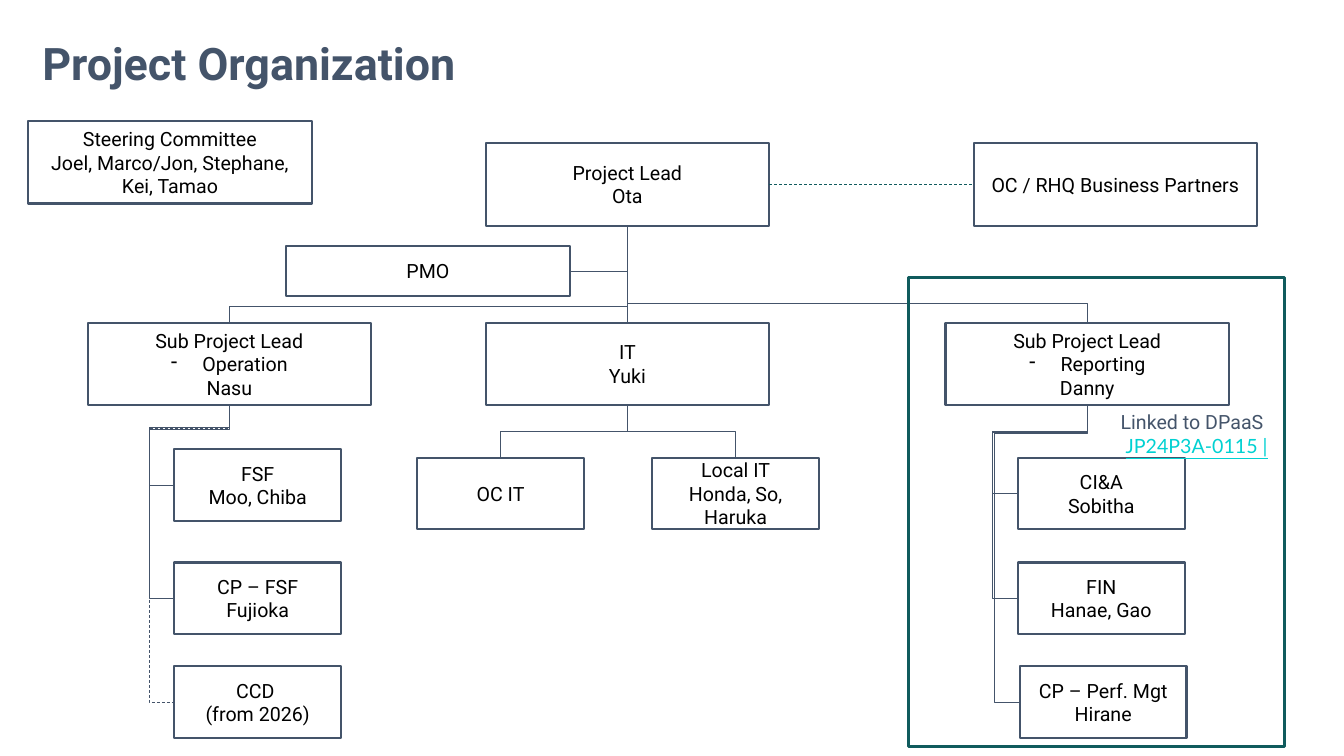
"""Build the project organization chart slide."""
from lxml import etree
from pptx import Presentation
from pptx.dml.color import RGBColor
from pptx.enum.dml import MSO_LINE
from pptx.enum.shapes import MSO_CONNECTOR, MSO_SHAPE
from pptx.enum.text import MSO_ANCHOR, MSO_AUTO_SIZE, PP_ALIGN
from pptx.oxml.ns import qn
from pptx.util import Pt

RECT = MSO_SHAPE.RECTANGLE
STRAIGHT, ELBOW = MSO_CONNECTOR.STRAIGHT, MSO_CONNECTOR.ELBOW
DASH = MSO_LINE.DASH
TOP, MIDDLE = MSO_ANCHOR.TOP, MSO_ANCHOR.MIDDLE
LEFT, CENTER = PP_ALIGN.LEFT, PP_ALIGN.CENTER
NO_FIT, GROW = MSO_AUTO_SIZE.NONE, MSO_AUTO_SIZE.SHAPE_TO_FIT_TEXT
SITE_TOP, SITE_LEFT, SITE_BOTTOM, SITE_RIGHT = range(4)

COLORS = {"slate": "44546A", "teal": "105B5D", "text": "000000",
          "link": "00D1D2", "white": "FFFFFF"}
LEAD_SIZE = (202.5, 59)
PMO_SIZE = (202.5, 36)
TEAM_SIZE = (119, 51)

BOXES = {
    "lead": (346.9, 102.2, LEAD_SIZE, ["Project Lead", "Ota"]),
    "operation": (62.6, 230.4, LEAD_SIZE, ["Sub Project Lead", "- Operation", "Nasu"]),
    "it": (346.9, 230.4, LEAD_SIZE, ["IT", "Yuki"]),
    "reporting": (675.4, 230.4, LEAD_SIZE, ["Sub Project Lead", "- Reporting", "Danny"]),
    "oc_it": (298.1, 327, TEAM_SIZE, ["OC IT"]),
    "local_it": (466, 327, TEAM_SIZE, ["Local IT", "Honda, So, Haruka"]),
    "fsf": (124.6, 321, TEAM_SIZE, ["FSF", "Moo, Chiba"]),
    "cp_fsf": (124.6, 401.8, TEAM_SIZE, ["CP – FSF", "Fujioka"]),
    "ccd": (124.6, 476, TEAM_SIZE, ["CCD ", "(from 2026)"]),
    "cia": (727.2, 327, TEAM_SIZE, ["CI&A", "Sobitha"]),
    "fin": (727.2, 401.8, TEAM_SIZE, ["FIN", "Hanae, Gao"]),
    "perf": (728.6, 476, TEAM_SIZE, ["CP – Perf. Mgt", "Hirane"]),
    "steering": (20.2, 86.4, LEAD_SIZE,
                 ["Steering Committee", "Joel, Marco/Jon, Stephane,", "Kei, Tamao"]),
    "partners": (695.5, 102.2, LEAD_SIZE, ["OC / RHQ Business Partners"]),
    "pmo": (204.5, 175.7, PMO_SIZE, ["PMO"]),
}

ELBOWS = [
    ("lead", "operation", SITE_TOP, [83]),
    ("lead", "reporting", SITE_TOP, [80.6]),
    ("lead", "pmo", SITE_RIGHT, []),
    ("it", "oc_it", SITE_TOP, [50]),
    ("it", "local_it", SITE_TOP, [50]),
    ("operation", "fsf", SITE_LEFT, [27.6, 146.1]),
    ("operation", "cp_fsf", SITE_LEFT, [12.7, 146.1]),
    ("operation", "ccd", SITE_LEFT, [8, 146.1]),
    ("reporting", "cia", SITE_LEFT, [29.7, 136.7]),
    ("reporting", "fin", SITE_LEFT, [13.9, 136.7]),
    ("reporting", "perf", SITE_LEFT, [9.6, 137.7]),
]


def style_run(r, color, size=14, font="Roboto"):
    """Set the font, size and colour of a run."""
    r.font.name = font
    r.font.size = Pt(size)
    r.font.color.rgb = RGBColor.from_string(COLORS[color])


def add_dash_bullet(p):
    """Give a paragraph a hanging dash bullet."""
    pPr = p._p.get_or_add_pPr()
    pPr.set("marL", str(Pt(22.5)))
    pPr.set("indent", str(-Pt(22.5)))
    etree.SubElement(pPr, qn("a:buChar")).set("char", "-")


def add_outline(s, x, y, size, color, width):
    """Add an unfilled rectangle."""
    sp = s.shapes.add_shape(RECT, Pt(x), Pt(y), Pt(size[0]), Pt(size[1]))
    sp.shadow.inherit = False
    sp.fill.background()
    sp.line.color.rgb = RGBColor.from_string(COLORS[color])
    sp.line.width = Pt(width)
    return sp


def add_box(s, x, y, size, lines):
    """Add an organization box with one paragraph per line."""
    sp = add_outline(s, x, y, size, "slate", 1.5)
    tf = sp.text_frame
    tf.word_wrap = True
    tf.vertical_anchor = MIDDLE
    tf.text = "\n".join(line.removeprefix("- ") for line in lines)
    for p, line in zip(tf.paragraphs, lines):
        p.alignment = CENTER
        style_run(p.runs[0], "text")
        if line.startswith("- "):
            add_dash_bullet(p)
    return sp


def add_link(s, kind, start, start_site, end, end_site, color="slate", dash=None):
    """Add a thin connector joined to two boxes."""
    c = s.shapes.add_connector(kind, Pt(0), Pt(0), Pt(0), Pt(0))
    c.begin_connect(start, start_site)
    c.end_connect(end, end_site)
    c.line.color.rgb = RGBColor.from_string(COLORS[color])
    c.line.width = Pt(0.5)
    c.line.dash_style = dash
    etree.SubElement(c._element.spPr, qn("a:effectLst"))
    return c


def add_elbow(s, start, end, site, bends, dash=None):
    """Add an elbow that leaves downwards, with bends in percent."""
    c = add_link(s, ELBOW, start, SITE_BOTTOM, end, site, dash=dash)
    dx, dy = c.end_x - c.begin_x, c.end_y - c.begin_y
    mid_x, mid_y = (c.begin_x + c.end_x) // 2, (c.begin_y + c.end_y) // 2
    c.left, c.top = mid_x - dy // 2, mid_y - abs(dx) // 2
    c.width, c.height = dy, abs(dx)
    xfrm = c._element.spPr.find(qn("a:xfrm"))
    for flip in ("flipH", "flipV"):
        xfrm.attrib.pop(flip, None)
    xfrm.set("rot", str((90 if dx < 0 else 270) * 60000))
    if dx > 0:
        xfrm.set("flipH", "1")
    geom = c._element.spPr.find(qn("a:prstGeom"))
    geom.set("prst", f"bentConnector{len(bends) + 2}")
    for i, bend in enumerate(bends, 1):
        gd = etree.SubElement(geom.find(qn("a:avLst")), qn("a:gd"))
        gd.set("name", f"adj{i}")
        gd.set("fmla", f"val {round(bend * 1000)}")


def set_title(s, text):
    """Place and format the title."""
    sp = s.shapes.title
    sp.left, sp.top, sp.width, sp.height = Pt(30.2), Pt(30.2), Pt(828), Pt(29.5)
    tf = sp.text_frame
    tf.text = text
    tf.auto_size = NO_FIT
    tf.vertical_anchor = TOP
    tf.margin_left = tf.margin_top = tf.margin_right = tf.margin_bottom = 0
    p = tf.paragraphs[0]
    p.alignment = LEFT
    p.line_spacing = 0.9
    style_run(p.runs[0], "slate", 32)
    p.runs[0].font.bold = True


def add_link_note(s):
    """Add the note about the linked project."""
    tf = s.shapes.add_textbox(Pt(793.4), Pt(289.4), Pt(129.6), Pt(41)).text_frame
    tf.word_wrap = False
    tf.auto_size = GROW
    tf.text = "Linked to DPaaS"
    style_run(tf.paragraphs[0].runs[0], "slate")
    p = tf.add_paragraph()
    for text, color in ((" ", "white"), ("JP24P3A-0115 |", "link")):
        r = p.add_run()
        r.text = text
        style_run(r, color, font="Lato")
    r.font.underline = True


def main():
    """Build and save the slide."""
    prs = Presentation()
    prs.slide_width, prs.slide_height = Pt(960), Pt(540)
    s = prs.slides.add_slide(prs.slide_layouts[5])
    set_title(s, "Project Organization")
    boxes = {name: add_box(s, *box) for name, box in BOXES.items()}
    for start, end, site, bends in ELBOWS:
        add_elbow(s, boxes[start], boxes[end], site, bends,
                  DASH if end == "ccd" else None)
    add_link(s, STRAIGHT, boxes["lead"], SITE_BOTTOM, boxes["it"], SITE_TOP)
    add_link(s, STRAIGHT, boxes["lead"], SITE_RIGHT, boxes["partners"], SITE_LEFT,
             "teal", DASH)
    add_outline(s, 648.7, 198, (268.6, 335.5), "teal", 2.25)
    add_link_note(s)
    prs.save("out.pptx")


if __name__ == "__main__":
    main()
